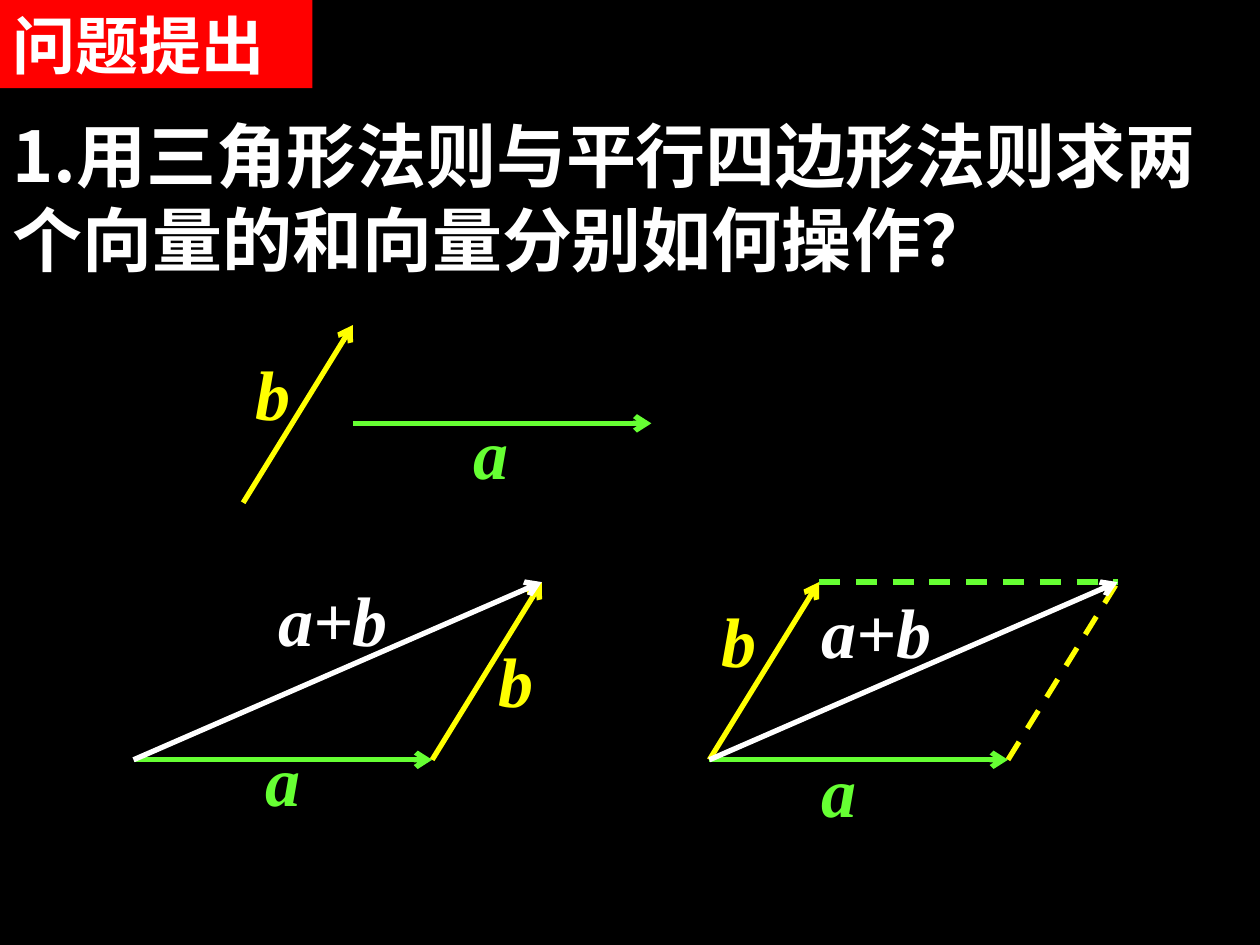
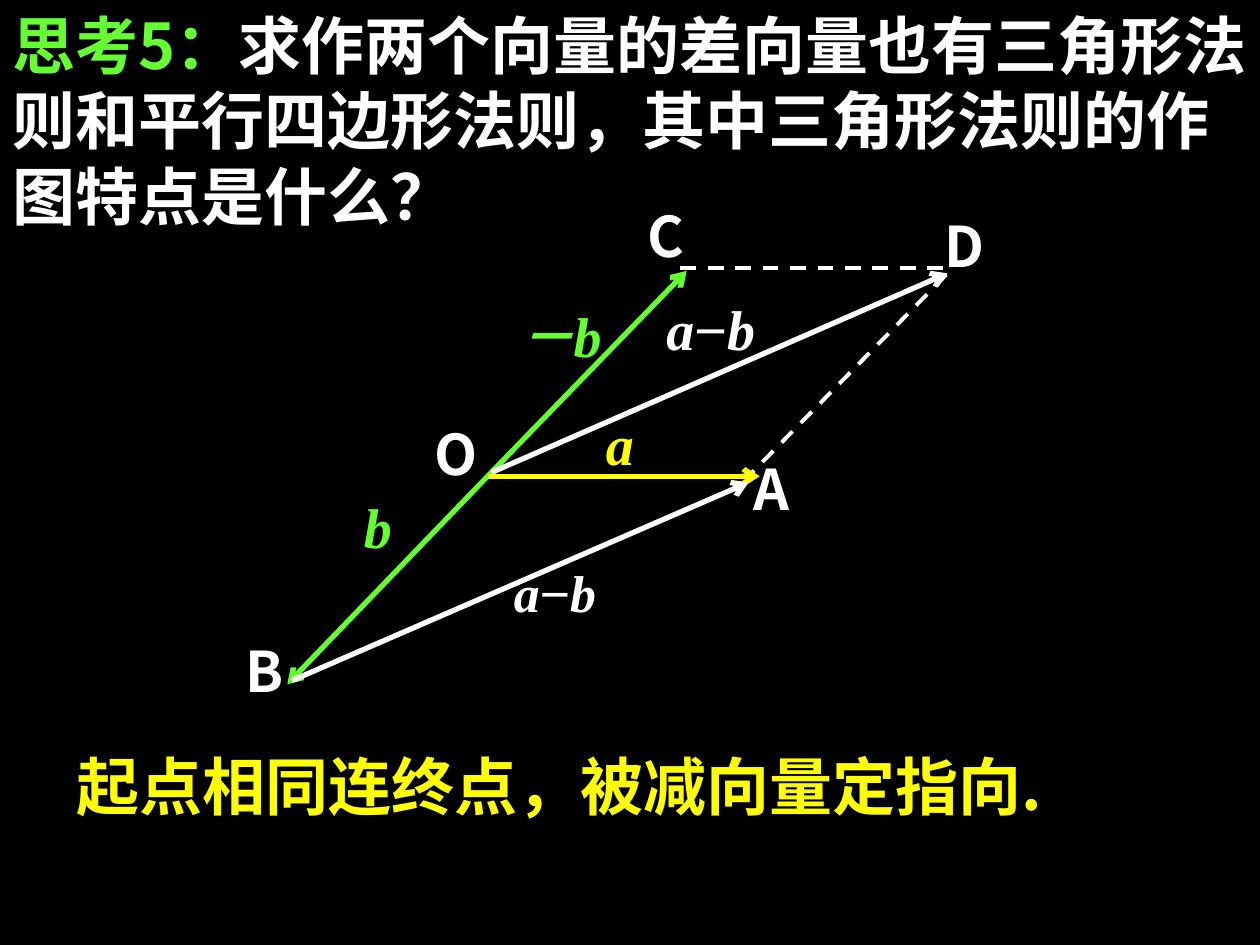
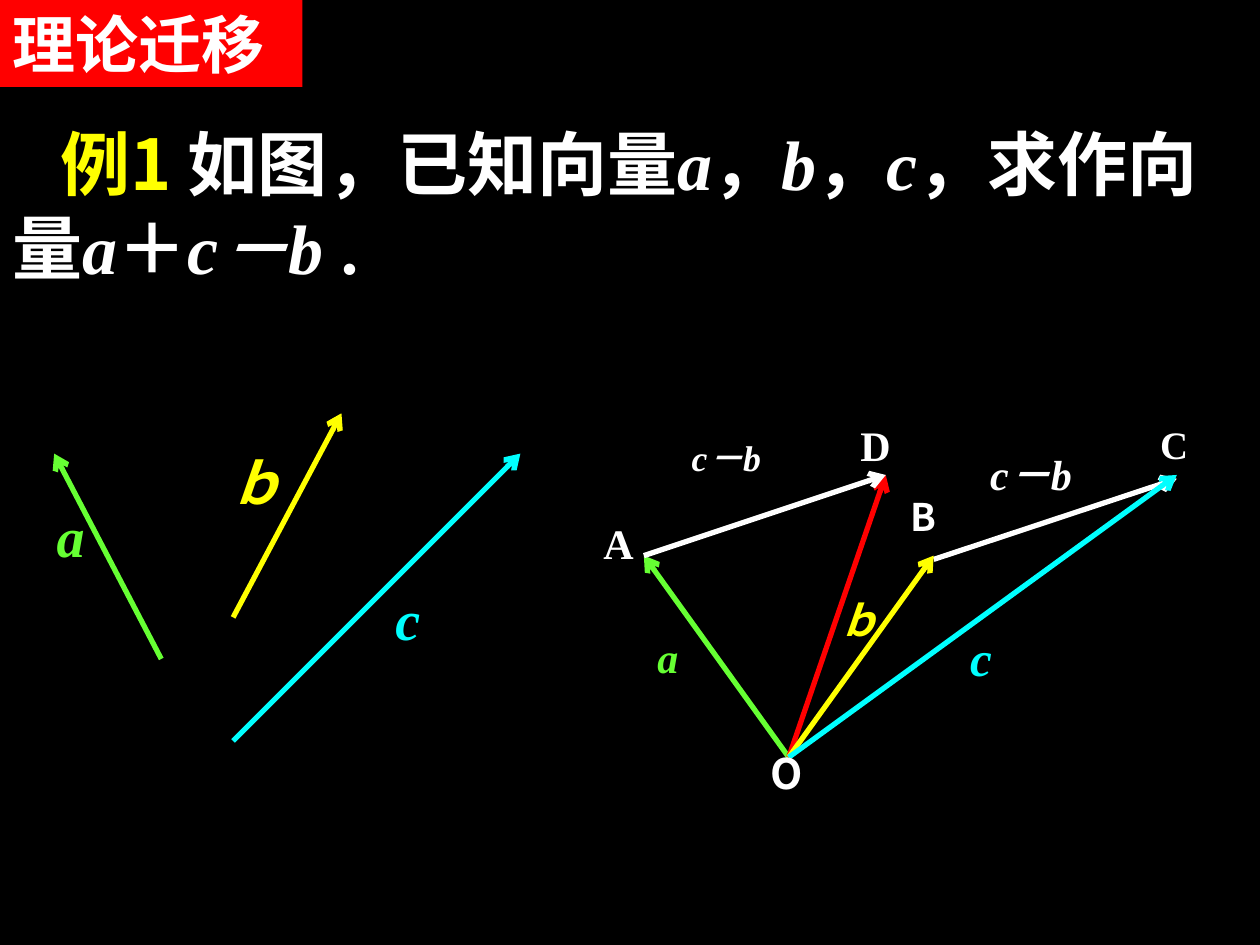
from lxml.etree import SubElement
from pptx import Presentation
from pptx.dml.color import RGBColor
from pptx.enum.dml import MSO_LINE
from pptx.enum.shapes import MSO_CONNECTOR
from pptx.enum.text import MSO_ANCHOR, MSO_AUTO_SIZE, PP_ALIGN
from pptx.oxml.ns import qn
from pptx.util import Inches, Pt

# Shared look
BLACK, WHITE, RED = "000000", "FFFFFF", "FF0000"
GREEN, YELLOW, CYAN = "66FF33", "FFFF00", "00FFFF"
SANS, SERIF, PLAIN = "Noto Sans CJK SC", "Times New Roman", "Arial"
WIDTH, HEIGHT = 10, 7.5

VECTOR = dict(font=SERIF, italic=True)
UPRIGHT = dict(font=SERIF)
MINUS = ("−", dict(font=PLAIN, bold=False, italic=False))
DIFFERENCE = [("a", {}), MINUS, ("b", {})]

# Slide 1: sum of two vectors; labels are (text, left, top, width, height, format)
A, B = (2.37, 0), (0.87, -1.41)
SUM = (A[0] + B[0], A[1] + B[1])
TRIANGLE, PARALLELOGRAM = (1.06, 6.03), (5.63, 6.03)


def moved(point, vector):
    return point[0] + vector[0], point[1] + vector[1]


def vector_line(start, vector, color, **style):
    return start, moved(start, vector), color, style


SUM_LINES = [
    vector_line(moved(PARALLELOGRAM, B), A, GREEN, dashed=True),
    vector_line(moved(PARALLELOGRAM, A), B, YELLOW, dashed=True),
    vector_line((2.8, 3.36), A, GREEN),
    vector_line((1.93, 3.99), B, YELLOW),
    vector_line(TRIANGLE, A, GREEN),
    vector_line(moved(TRIANGLE, A), B, YELLOW),
    vector_line(TRIANGLE, SUM, WHITE),
    vector_line(PARALLELOGRAM, A, GREEN),
    vector_line(PARALLELOGRAM, B, YELLOW),
    vector_line(PARALLELOGRAM, SUM, WHITE),
]
SUM_LABELS = [
    (text, left, top, 1.26 if text == "a+b" else 0.71, 0.77,
     dict(VECTOR, size=40, color=color))
    for text, color, places in [
        ("a", GREEN, [(3.66, 3.2), (2.01, 5.8), (6.42, 5.88)]),
        ("b", YELLOW, [(1.93, 2.73), (3.86, 5.01), (5.63, 4.69)]),
        ("a+b", WHITE, [(2.11, 4.53), (6.42, 4.62)]),
    ]
    for left, top in places
]

# Slide 2: difference of two vectors
ORIGIN = (3.87, 3.78)
DIFFERENCE_LINES = [
    (ORIGIN, (5.45, 2.15), GREEN, {}),
    ((7.51, 2.18), (5.94, 3.78), WHITE, dict(dashed=True, weight=2.25)),
    ((5.4, 2.13), (7.56, 2.13), WHITE, dict(dashed=True, weight=2.25)),
    ((3.9, 3.75), (7.52, 2.17), WHITE, {}),
    (ORIGIN, (2.28, 5.43), GREEN, {}),
    (ORIGIN, (6.03, 3.78), YELLOW, {}),
    ((2.32, 5.4), (5.94, 3.83), WHITE, {}),
]
DIFFERENCE_LABELS = [
    ("－b", 4.01, 2.34, 1.01, 0.8, dict(VECTOR, color=GREEN)),
    ("a", 4.71, 3.2, 0.71, 0.8, dict(VECTOR, color=YELLOW)),
    ("b", 2.79, 3.86, 0.71, 0.8, dict(VECTOR, color=GREEN)),
    (DIFFERENCE, 5.19, 2.29, 1.51, 0.88, VECTOR),
    (DIFFERENCE, 3.98, 4.46, 1.19, 0.62, dict(VECTOR, size=29.6, spacing=0.9)),
    ("C", 5.04, 1.55, 0.71, 0.8, {}),
    ("D", 7.4, 1.63, 0.71, 0.8, {}),
    ("A", 5.88, 3.56, 0.76, 0.94, {}),
    ("O", 3.35, 3.28, 0.68, 0.69, {}),
    ("B", 1.85, 5, 0.71, 0.8, {}),
]

# Slide 3: worked example
O, END_A, END_B, END_C, END_D = (6.26, 6.01), (5.11, 4.41), (7.41, 4.41), (9.34, 3.77), (7.03, 3.77)
EXAMPLE_LINES = [
    ((1.28, 5.23), (0.43, 3.6), GREEN, {}),
    ((1.85, 4.9), (2.71, 3.28), YELLOW, {}),
    ((1.85, 5.88), (4.13, 3.6), CYAN, {}),
    (O, END_A, GREEN, {}),
    (O, END_D, RED, {}),
    ((7.41, 4.44), (9.34, 3.8), WHITE, {}),
    (END_A, END_D, WHITE, {}),
    (O, END_B, YELLOW, {}),
    (O, END_C, CYAN, {}),
]
EXAMPLE_LABELS = [
    ("ｂ", 1.71, 3.51, 0.86, 0.98, dict(VECTOR, color=YELLOW)),
    ("a", 0.35, 3.93, 0.61, 0.93, dict(VECTOR, color=GREEN)),
    ("c", 3.04, 4.59, 0.86, 0.98, dict(VECTOR, color=CYAN)),
    ("A", 4.69, 4.06, 0.63, 0.69, dict(UPRIGHT, size=24)),
    ("a", 5.12, 4.96, 0.74, 0.52, dict(VECTOR, size=24, color=GREEN)),
    ("c－b", 7.76, 3.51, 1.34, 0.55, dict(VECTOR, size=24)),
    ("D", 6.73, 3.28, 0.55, 0.55, dict(UPRIGHT, size=24)),
    ("c－b", 5.39, 3.45, 1.17, 0.45, dict(VECTOR, size=20.4, spacing=0.9)),
    ("B", 7.13, 3.94, 0.63, 0.47, dict(size=21.7, spacing=0.8)),
    ("C", 9.11, 3.33, 0.89, 0.5, dict(UPRIGHT, size=22.2, spacing=0.9)),
    ("O", 6.02, 5.88, 0.7, 0.6, dict(size=24)),
    ("ｂ", 6.55, 4.67, 0.99, 0.76, dict(VECTOR, size=24, color=YELLOW)),
    ("c", 7.6, 4.93, 1.15, 0.96, dict(VECTOR, size=28, color=CYAN)),
]
EXAMPLE_TEXT = [
    ("例1 ", dict(color=YELLOW)), ("如图，已知向量", {}),
    ("a", VECTOR), ("，", UPRIGHT), ("b", VECTOR), ("，", UPRIGHT),
    ("c", VECTOR), ("，", UPRIGHT), ("求作向量", {}),
    ("a", VECTOR), ("＋", UPRIGHT), ("c－b", VECTOR), (" .", UPRIGHT),
]

# Title and body are (text, place, format)
BANNER = dict(font=PLAIN, size=36, fill=RED)
SLIDES = [
    dict(title=("问题提出", (0, 0, 2.48, 0.7), BANNER),
         body=("1.用三角形法则与平行四边形法则求两个向量的和向量分别如何操作？",
               (0, 0.84, WIDTH, 1.44), dict(size=40)),
         lines=SUM_LINES, labels=SUM_LABELS),
    dict(title=([("思考5：", dict(color=GREEN)),
                 ("求作两个向量的差向量也有三角形法则和平行四边形法则，"
                  "其中三角形法则的作图特点是什么？", {})],
                (0, 0, WIDTH, 1.9), dict(size=36)),
         body=("起点相同连终点，被减向量定指向.",
               (0.51, 5.88, 9.16, 0.7), dict(size=36, color=YELLOW)),
         lines=DIFFERENCE_LINES, labels=DIFFERENCE_LABELS),
    dict(title=("理论迁移", (0, -0.01, 2.4, 0.7), BANNER),
         body=(EXAMPLE_TEXT, (0, 0.91, WIDTH, 1.44), dict(size=40, indent=0.38)),
         lines=EXAMPLE_LINES, labels=EXAMPLE_LABELS),
]


def rgb(color):
    return RGBColor.from_string(color)


def add_span(para, text, font=SANS, size=32, color=WHITE, bold=True, italic=False):
    span = para.add_run()
    span.text = text
    span.font.name, span.font.size = font, Pt(size)
    span.font.bold, span.font.italic = bold, italic
    span.font.color.rgb = rgb(color)
    SubElement(span.font._element, qn("a:ea"), typeface=SANS)


def write(box, text, place, fill=None, spacing=None, indent=0, **style):
    """Place a box and fill it with one paragraph of formatted spans."""
    box.left, box.top, box.width, box.height = map(Inches, place)
    if fill:
        box.fill.solid()
        box.fill.fore_color.rgb = rgb(fill)
    frame = box.text_frame
    frame.word_wrap = True
    frame.auto_size = MSO_AUTO_SIZE.NONE
    frame.vertical_anchor = MSO_ANCHOR.TOP
    para = frame.paragraphs[0]
    para.alignment = PP_ALIGN.LEFT
    para.space_before = Pt(0)
    if spacing:
        para.line_spacing = spacing
    properties = para._p.get_or_add_pPr()
    properties.set("marL", "0")
    properties.set("indent", str(Inches(indent)))
    SubElement(properties, qn("a:buNone"))
    for words, changes in [(text, {})] if isinstance(text, str) else text:
        add_span(para, words, **{**style, **changes})


def draw_line(page, start, end, color, weight=3, dashed=False):
    """Draw a solid arrow, or a dashed line without a head."""
    line = page.shapes.add_connector(
        MSO_CONNECTOR.STRAIGHT, *map(Inches, (*start, *end)))
    line.line.color.rgb = rgb(color)
    line.line.width = Pt(weight)
    if dashed:
        line.line.dash_style = MSO_LINE.DASH
    else:
        SubElement(line.line._get_or_add_ln(), qn("a:tailEnd"), type="arrow")
    SubElement(line._element.spPr, qn("a:effectLst"))


def build_page(deck, content):
    page = deck.slides.add_slide(deck.slide_layouts[1])
    for box, part in zip(page.placeholders, ("title", "body")):
        text, place, style = content[part]
        write(box, text, place, **style)
    for start, end, color, style in content["lines"]:
        draw_line(page, start, end, color, **style)
    for text, *place, style in content["labels"]:
        write(page.shapes.add_textbox(0, 0, 0, 0), text, place, **style)


def main():
    deck = Presentation()
    deck.slide_width, deck.slide_height = Inches(WIDTH), Inches(HEIGHT)
    background = deck.slide_master.background.fill
    background.solid()
    background.fore_color.rgb = rgb(BLACK)
    for content in SLIDES:
        build_page(deck, content)
    deck.save("out.pptx")


if __name__ == "__main__":
    main()
